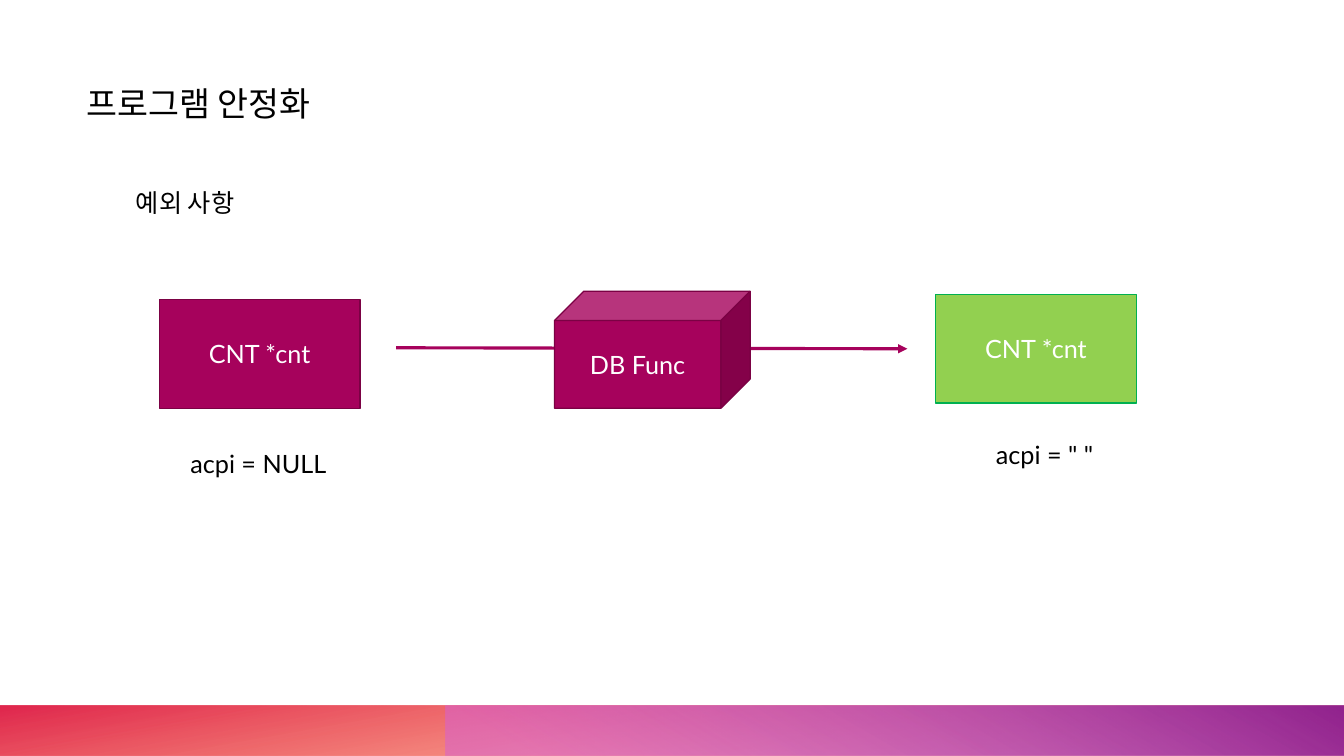
from lxml import etree
from pptx import Presentation
from pptx.dml.color import RGBColor
from pptx.enum.shapes import MSO_CONNECTOR as Line, MSO_SHAPE as Shape
from pptx.enum.text import MSO_ANCHOR as Anchor, MSO_AUTO_SIZE as Auto, PP_ALIGN as Align
from pptx.oxml import parse_xml
from pptx.oxml.ns import nsdecls, qn
from pptx.util import Inches, Pt


def rgb(code):
    return RGBColor.from_string(code)


def write(shape, text, size, color):
    para = shape.text_frame.paragraphs[0]
    para.text = text
    font = para.runs[0].font
    font.name, font.size = "Lato", Pt(size)
    font.color.rgb = rgb(color)
    return para


deck = Presentation()
deck.slide_width, deck.slide_height = Inches(13.33), Inches(7.5)
slide = deck.slides.add_slide(deck.slide_layouts[6])
shapes = slide.shapes

# Footer bars: left, width, rotation, gradient angle, stops (position, colour, opacity)
bars = [
    (0, 13.33, 180, 100, [(14, "FE4A00", 28), (100, "DA002F", 85)]),
    (4.42, 8.91, 0, 240, [(9, "D861D4", 55), (99, "92248E", 100)]),
]
for left, width, turn, angle, stops in bars:
    bar = shapes.add_shape(Shape.RECTANGLE, Inches(left), Inches(7), Inches(width), Inches(0.5))
    bar.shadow.inherit = False
    bar.line.fill.background()
    bar.rotation = turn
    props = bar.element.spPr
    props.find(qn("a:xfrm")).set("flipH", "1")
    marks = "".join(
        f'<a:gs pos="{pos * 1000}"><a:srgbClr val="{code}">'
        f'<a:alpha val="{alpha * 1000}"/></a:srgbClr></a:gs>'
        for pos, code, alpha in stops
    )
    props.find(qn("a:prstGeom")).addnext(parse_xml(
        f'<a:gradFill rotWithShape="1" {nsdecls("a")}><a:gsLst>{marks}</a:gsLst>'
        f'<a:lin ang="{angle * 60000}" scaled="0"/></a:gradFill>'
    ))

# Title, subtitle and captions
labels = [
    ("프로그램 안정화", 0.76, 0.77, 8.2, 0.5, 24),
    ("예외 사항", 1.25, 1.81, 10.83, 0.4, 18),
    ("acpi = NULL", 1.79, 4.4, 10.83, 0.4, 18),
    ('acpi = " "', 9.78, 4.31, 3.5, 0.4, 18),
]
for text, left, top, width, height, size in labels:
    box = shapes.add_textbox(Inches(left), Inches(top), Inches(width), Inches(height))
    box.text_frame.word_wrap = True
    box.text_frame.auto_size = Auto.SHAPE_TO_FIT_TEXT
    write(box, text, size, "000000")

# The arrow runs behind the cube
arrow = shapes.add_connector(Line.STRAIGHT, Inches(3.93), Inches(3.45), Inches(9), Inches(3.46))
arrow.line.color.rgb = rgb("A6025C")
arrow.line.width = Pt(2.25)
etree.SubElement(arrow.line._get_or_add_ln(), qn("a:tailEnd"), type="triangle")
etree.SubElement(arrow.element.spPr, qn("a:effectLst"))

nodes = [
    (Shape.RECTANGLE, "CNT *cnt", 1.58, 2.97, 1.99, 1.08, "A6025C", "7B0144"),
    (Shape.RECTANGLE, "CNT *cnt", 9.28, 2.92, 1.99, 1.08, "92D050", "00B050"),
    (Shape.CUBE, "DB Func", 5.5, 2.89, 1.94, 1.16, "A6025C", "7B0144"),
]
for kind, text, left, top, width, height, fill, edge in nodes:
    node = shapes.add_shape(kind, Inches(left), Inches(top), Inches(width), Inches(height))
    node.shadow.inherit = False
    node.fill.solid()
    node.fill.fore_color.rgb = rgb(fill)
    node.line.color.rgb = rgb(edge)
    node.line.width = Pt(1)
    node.text_frame.vertical_anchor = Anchor.MIDDLE
    write(node, text, 18, "FFFFFF").alignment = Align.CENTER

deck.save("out.pptx")
